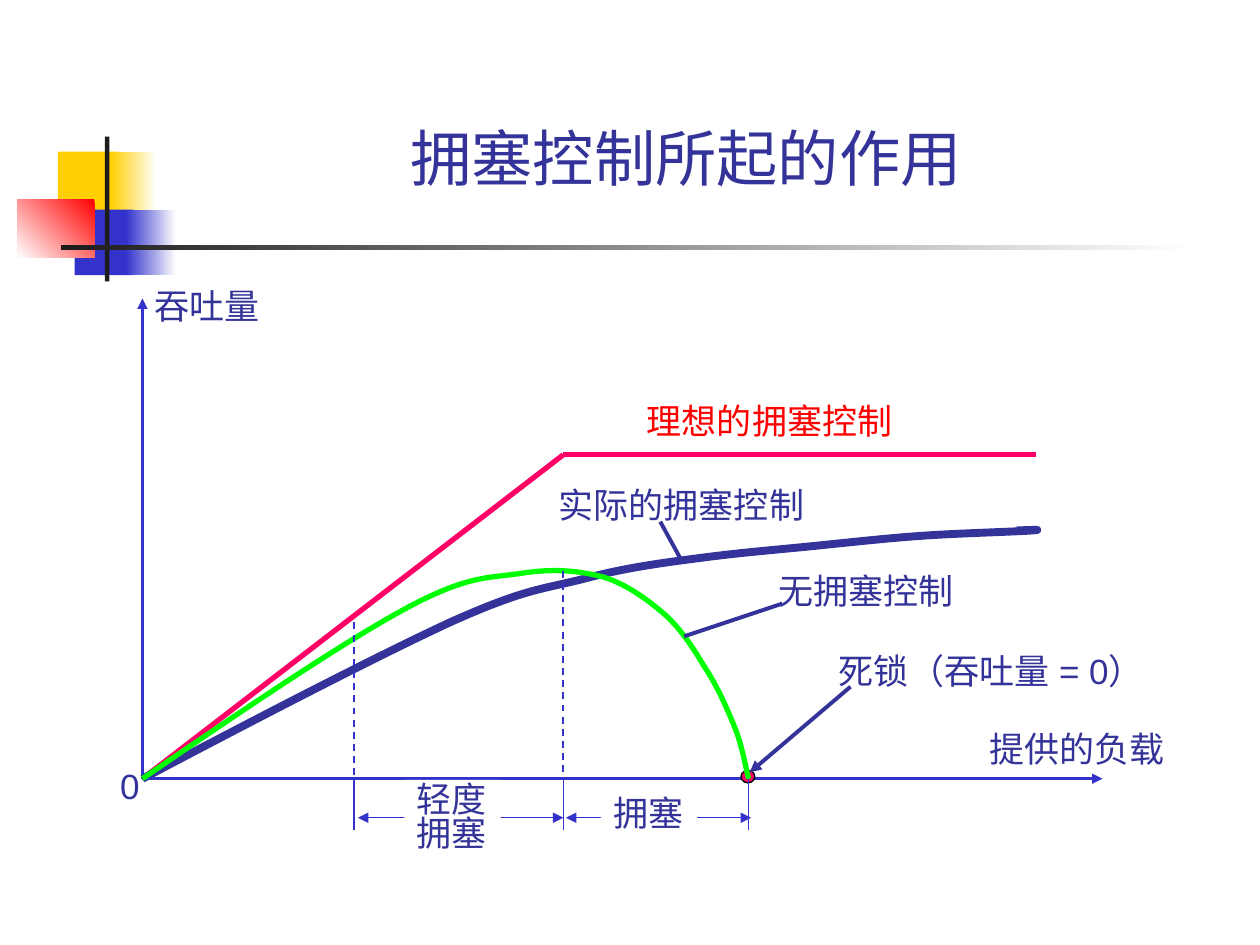
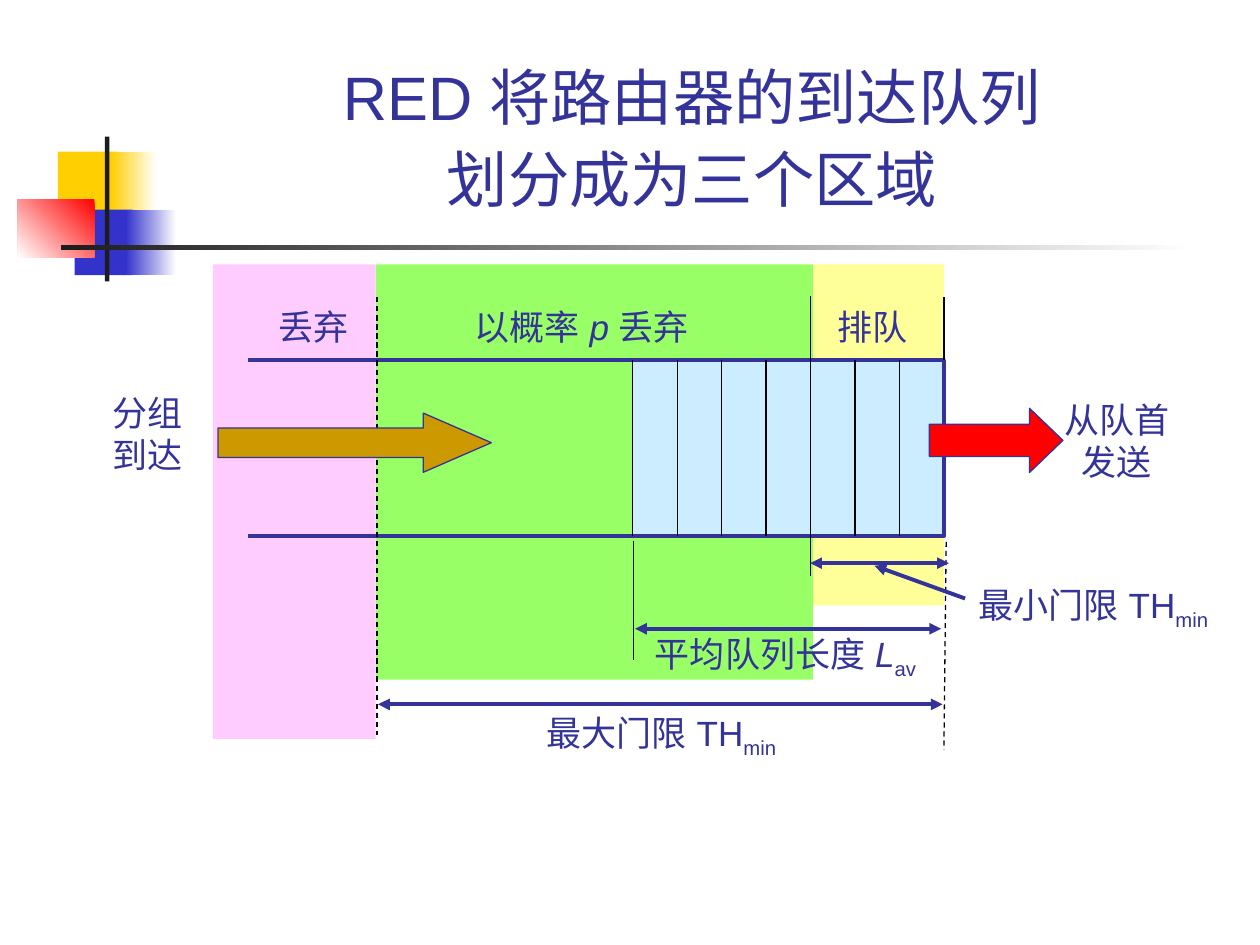
from dataclasses import dataclass
from itertools import chain
from typing import NamedTuple

from lxml import etree
from pptx import Presentation
from pptx.dml.color import RGBColor as Rgb
from pptx.enum.dml import MSO_LINE as Dash
from pptx.enum.shapes import MSO_CONNECTOR as Link, MSO_SHAPE as Kind
from pptx.enum.text import MSO_ANCHOR as Anchor, MSO_AUTO_SIZE as Fit, PP_ALIGN as Align
from pptx.oxml.ns import qn
from pptx.util import Pt


@dataclass(frozen=True)
class Theme:
    font: str = "Arial"
    head: float = 35
    body: float = 20
    ink: str = "333399"
    blue: str = "3333CC"
    gold: str = "FFCF01"
    dark: str = "1C1C1C"
    black: str = "000000"
    white: str = "FFFFFF"
    red: str = "FF0000"
    rose: str = "FF0066"
    green: str = "00FF00"
    lime: str = "99FF66"
    cream: str = "FFFF99"
    pink: str = "FFCCFF"
    sky: str = "CCECFF"
    brown: str = "CC9900"


T = Theme()


class Fade(NamedTuple):
    start: str
    end: str
    angle: float = 180


class Box(NamedTuple):
    x: float
    y: float
    w: float
    h: float
    fill: str | Fade
    edge: str = ""
    kind: Kind = Kind.RECTANGLE
    adjust: tuple = ()


class Line(NamedTuple):
    x1: float
    y1: float
    x2: float
    y2: float
    color: str = T.ink
    width: float = 2.25
    ends: str = ""  # "t" arrow at the end, "ht" at both
    dash: bool = False


class Bit(NamedTuple):
    text: str
    italic: bool = False
    sub: bool = False


class Label(NamedTuple):
    x: float
    y: float
    w: float
    h: float
    rows: tuple
    color: str = T.ink
    align: Align = Align.LEFT
    space: float = 1.0
    fill: str = ""
    wrap: bool = False


# Drawing tools
def add_bit(para, bit: Bit, size: float, color: str) -> None:
    run = para.add_run()
    run.text = bit.text
    font = run.font
    font.name, font.size = T.font, Pt(size)
    font.color.rgb = Rgb.from_string(color)
    font.italic = bit.italic
    props = run._r.get_or_add_rPr()
    etree.SubElement(props, qn("a:ea")).set("typeface", T.font)
    if bit.sub:
        props.set("baseline", "-25000")


def add_box(slide, box: Box):
    shape = slide.shapes.add_shape(box.kind, *map(Pt, box[:4]))
    shape.shadow.inherit = False
    for i, value in enumerate(box.adjust):
        shape.adjustments[i] = value
    if isinstance(box.fill, Fade):
        shape.fill.gradient()
        shape.fill.gradient_angle = box.fill.angle
        for i, stop in enumerate(shape.fill.gradient_stops):
            stop.position = i
            stop.color.rgb = Rgb.from_string(box.fill[i])
    else:
        shape.fill.solid()
        shape.fill.fore_color.rgb = Rgb.from_string(box.fill)
    if box.edge:
        shape.line.color.rgb = Rgb.from_string(box.edge)
        shape.line.width = Pt(0.75)
    else:
        shape.line.fill.background()
    return shape


def add_line(slide, line: Line) -> None:
    link = slide.shapes.add_connector(Link.STRAIGHT, *map(Pt, line[:4]))
    link.line.color.rgb = Rgb.from_string(line.color)
    link.line.width = Pt(line.width)
    if line.dash:
        link.line.dash_style = Dash.DASH
    stroke = link.line._get_or_add_ln()
    for key, tag in (("h", "a:headEnd"), ("t", "a:tailEnd")):
        if key in line.ends:
            etree.SubElement(stroke, qn(tag)).set("type", "triangle")
    etree.SubElement(link._element.spPr, qn("a:effectLst"))


def add_label(slide, label: Label) -> None:
    box = slide.shapes.add_textbox(*map(Pt, label[:4]))
    if label.fill:
        box.fill.solid()
        box.fill.fore_color.rgb = Rgb.from_string(label.fill)
    frame = box.text_frame
    frame.word_wrap = label.wrap
    frame.auto_size = Fit.SHAPE_TO_FIT_TEXT
    for i, row in enumerate(label.rows):
        para = frame.add_paragraph() if i else frame.paragraphs[0]
        para.alignment, para.line_spacing = label.align, label.space
        for bit in (Bit(row),) if isinstance(row, str) else row:
            add_bit(para, bit, T.body, label.color)


def add_path(slide, points: list, color: str, width: float):
    spots = [(Pt(x), Pt(y)) for x, y in points]
    pen = slide.shapes.build_freeform(*spots[0], scale=1.0)
    pen.add_line_segments(spots[1:], close=False)
    shape = pen.convert_to_shape()
    shape.shadow.inherit = False
    shape.fill.background()
    shape.line.color.rgb = Rgb.from_string(color)
    shape.line.width = Pt(width)
    return shape


def add_curve(slide, knots: list, color: str, width: float) -> None:
    """Draw a start point and then cubic curves, three points for each."""
    shape = add_path(slide, knots, color, width)
    legs = list(shape.element.iter(qn("a:lnTo")))
    for i in range(0, len(legs), 3):
        cubic = etree.SubElement(legs[i].getparent(), qn("a:cubicBezTo"))
        for leg in legs[i:i + 3]:
            cubic.append(leg[0])
            leg.getparent().remove(leg)


def add_title(slide, rows: tuple, height: float, right: float, low: float) -> None:
    title = slide.shapes.title
    title.left, title.top, title.width, title.height = map(Pt, (90.7, 16.6, 613.4, height))
    frame = title.text_frame
    frame.auto_size, frame.word_wrap = Fit.NONE, True
    frame.vertical_anchor = Anchor.BOTTOM
    frame.margin_right, frame.margin_bottom = Pt(right), Pt(low)
    para = frame.paragraphs[0]
    para.alignment, para.line_spacing = Align.CENTER, 1.12
    for i, row in enumerate(rows):
        if i:
            para.add_line_break()
        add_bit(para, Bit(row), T.head, T.ink)


# Shared corner motif, kept on the layout
MOTIF = (
    Box(33.1, 86.6, 34.6, 37.4, T.gold),
    Box(63.4, 86.6, 25.9, 37.4, Fade(T.white, T.gold)),
    Box(42.7, 119.8, 33.1, 37.4, T.blue),
    Box(72, 119.8, 28.8, 37.4, Fade(T.white, T.blue)),
    Box(10.1, 113.8, 43.9, 33.1, Fade(T.red, T.white, 225)),
    Box(60, 78, 2.5, 82.8, T.dark),
    Box(34.6, 140.2, 648, 2.5, Fade(T.white, T.dark)),
)


def add_motif(slide, layout) -> None:
    for box in MOTIF:
        layout.shapes.element.append(add_box(slide, box).element)


# Slide 1: throughput against load
def draw_load(slide) -> None:
    add_title(slide, ("拥塞控制所起的作用",), 100.1, 17.6, 5.8)
    left, base = 81.4, 445
    mild, peak, lock = 202.3, 321.9, 427.8
    ideal, span, tall = 259.9, 467.3, 31.7

    actual = [(left, base), (148.3, 409.7), (215.3, 375.1), (257, 355.7),
              (298.8, 337), (308.2, 337), (331.9, 331.2),
              (355.7, 324.7), (377.3, 321.8), (398.9, 319),
              (420.5, 316.1), (438.5, 314.6), (460.1, 312.5),
              (482.4, 310.3), (507.6, 307.4), (529.2, 306),
              (550.8, 304.6), (581.8, 303.8), (590.4, 303.1),
              (599, 302.4), (582.5, 303.1), (581, 303.1)]
    free = [(left, base), (138.2, 406.1), (195.8, 367.2), (231.8, 347.8),
            (267.8, 328.3), (279.4, 330.5), (298.1, 327.6),
            (316.8, 324.7), (331.2, 326.2), (344.9, 329.8),
            (358.6, 334.1), (370.1, 342.7), (380.2, 351.4),
            (389.5, 360), (396, 370.1), (402.5, 380.9),
            (409.7, 391.7), (415.4, 404.6), (419.8, 415.4),
            (424.1, 426.2), (425.5, 435.6), (lock, base)]

    # Axes, ideal line and curves
    add_line(slide, Line(left, base, left, 170.6, T.blue, 1.5, "t"))
    add_line(slide, Line(left, base, peak, ideal, T.rose, 3))
    add_line(slide, Line(peak, ideal, 591.8, ideal, T.rose, 3))
    add_curve(slide, actual, T.ink, 4.5)
    add_line(slide, Line(left, base, 630, base, T.blue, 1.5, "t"))
    add_box(slide, Box(423.4, 440.2, 7.9, 7.2, T.rose, T.black, Kind.OVAL))
    add_curve(slide, free, T.green, 3)

    # Pointers, guides and spans
    lines = [Line(377.3, 298.1, 389.5, 320.4), Line(447.1, 344.9, 391, 363.6),
             Line(486, 392.4, 428.4, 441.4, ends="t"),
             Line(peak + 1.5, span, lock + 1.4, span, T.blue, 0.75, "ht"),
             Line(mild + 2.2, span, peak, span, T.blue, 0.75, "ht")]
    guides = [Line(x, y, x, base, T.blue, 1, dash=True) for x, y in ((peak, 326.2), (mild, 355.7))]
    ticks = [Line(x, base, x, 474.5, T.blue, 0.75) for x in (mild, peak, lock)]
    for line in chain(lines, guides, ticks):
        add_line(slide, line)

    for label in (
        Label(558.4, 412, 115, tall, ("提供的负载",)),
        Label(left, 159.1, 75, tall, ("吞吐量",)),
        Label(362.6, 224.6, 155, tall, ("理想的拥塞控制",), T.red),
        Label(312.2, 272.9, 155, tall, ("实际的拥塞控制",)),
        Label(61.6, 433.4, 25.6, tall, ("0",)),
        Label(472.3, 367.5, 202.3, tall, ("死锁（吞吐量 = 0）",)),
        Label(437.5, 322, 115, tall, ("无拥塞控制",)),
        Label(343.4, 448.6, 55, tall, ("拥塞",), fill=T.white),
        Label(231.1, 445.7, 55, 46.1, ("轻度", "拥塞"), space=0.8, fill=T.white),
    ):
        add_label(slide, label)


# Slide 2: three zones of the queue
def draw_zones(slide) -> None:
    add_title(slide, ("RED 将路由器的到达队列", "划分成为三个区域"), 111.6, 11, 5.2)
    top, roof, floor = 151, 205.8, 306.5
    head, cell, count = 539.4, 25.4, 7
    tail = head - cell * count

    # Zones and queue
    for box in (Box(214.8, top, 249.8, 237.4, T.lime),
                Box(464.6, top, 74.8, 195, T.cream),
                Box(121.7, top, 93, 271.2, T.pink),
                Box(tail, roof, cell * count, floor - roof, T.sky)):
        add_box(slide, box)
    add_path(slide, [(141.8, roof), (head, roof), (head, floor), (141.8, floor)], T.ink, 2.25)
    for n in range(1, count + 1):
        x = head - cell * n
        y1, y2 = (169.2, 329) if n == 3 else (roof, floor)
        add_line(slide, Line(x, y1, x, y2, T.black, 0.75))

    # Limits and spans
    for line in (Line(215.4, 169.9, 215.4, 419.8, T.black, 0.75, dash=True),
                 Line(540.7, 309.6, head, 428.4, T.black, 0.75, dash=True),
                 Line(head, 169.9, head, roof, T.black, 0.75),
                 Line(362.2, 308.9, 362.2, 377.3, T.black, 0.75),
                 Line(362.9, 359.3, 537.8, 359.3, ends="ht"),
                 Line(463, 321.8, 542.2, 321.8, ends="ht"),
                 Line(216, 402.5, 538.6, 402.5, ends="ht"),
                 Line(551.5, 342, 499.7, 323.3, ends="t")):
        add_line(slide, line)

    # Flow in and out
    for box in (Box(531.1, 233.3, 76.3, 36.7, T.red, T.ink, Kind.RIGHT_ARROW, (0.5, 0.52)),
                Box(124.6, 236.1, 156.2, 33.8, T.brown, T.ink, Kind.RIGHT_ARROW, (0.5, 1.15))):
        add_box(slide, box)

    low = Bit("min", sub=True)
    for label in (
        Label(600.8, 223.9, 75, 55.4, ("从队首", "发送"), align=Align.CENTER),
        Label(57.1, 220.3, 55, 55.4, ("分组", "到达"), align=Align.CENTER),
        Label(552.2, 329.8, 154.1, 59, ((Bit("最小门限 TH"), low),), wrap=True),
        Label(305.3, 403.2, 154.8, 34.6, ((Bit("最大门限 TH"), low),)),
        Label(367.2, 357.8, 172.8, 34.6,
              ((Bit("平均队列长度 "), Bit("L", italic=True), Bit("av", sub=True)),)),
        Label(471.6, 170.8, 55, 31.7, ("排队",)),
        Label(152.2, 170.8, 55, 31.7, ("丢弃",)),
        Label(264.2, 170.8, 150.5, 31.7,
              ((Bit("以概率 "), Bit("p ", italic=True), Bit("丢弃")),)),
    ):
        add_label(slide, label)


def main() -> None:
    deck = Presentation()
    deck.slide_width, deck.slide_height = Pt(720), Pt(540)
    layout = deck.slide_layouts[5]
    first, second = (deck.slides.add_slide(layout) for _ in range(2))
    add_motif(first, layout)
    draw_load(first)
    draw_zones(second)
    deck.save("out.pptx")


if __name__ == "__main__":
    main()
